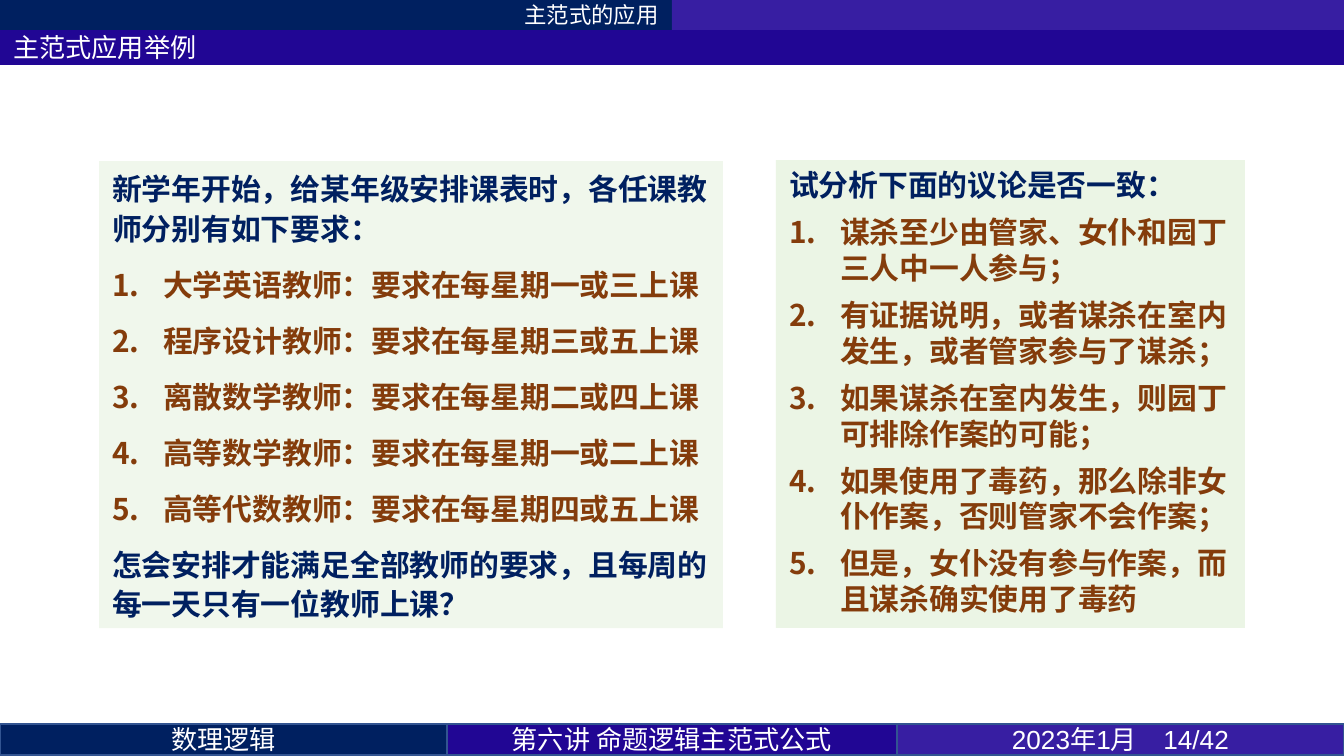
from lxml import etree
from pptx import Presentation
from pptx.dml.color import RGBColor
from pptx.enum.shapes import MSO_SHAPE
from pptx.enum.text import MSO_ANCHOR, MSO_AUTO_SIZE, PP_ALIGN
from pptx.oxml.ns import qn
from pptx.util import Pt

RECT = MSO_SHAPE.RECTANGLE
MIDDLE, TOP = MSO_ANCHOR.MIDDLE, MSO_ANCHOR.TOP
LEFT, CENTER, RIGHT = PP_ALIGN.LEFT, PP_ALIGN.CENTER, PP_ALIGN.RIGHT
GROW = MSO_AUTO_SIZE.SHAPE_TO_FIT_TEXT

NAVY = RGBColor(0x00, 0x20, 0x60)
INDIGO = RGBColor(0x21, 0x06, 0x94)
VIOLET = RGBColor(0x37, 0x1E, 0xA2)
EDGE = RGBColor(0x32, 0x54, 0x91)
GREEN = RGBColor(0xE2, 0xF0, 0xD9)
BROWN = RGBColor(0x84, 0x3C, 0x0B)
WHITE = RGBColor(0xFF, 0xFF, 0xFF)

PX = 914400 / 134.4
WIDE, HIGH = 1344, 756
HAN, LATIN, SANS = "Noto Sans CJK SC", "Calibri", "Arial"


def emu(px):
    return round(px * PX)


class Deck:
    def __init__(self):
        self.show = Presentation()
        self.show.slide_width, self.show.slide_height = emu(WIDE), emu(HIGH)
        self.slide = self.show.slides.add_slide(self.show.slide_layouts[6])

    def rect(self, box, fill, edge=None):
        shape = self.slide.shapes.add_shape(RECT, *map(emu, box))
        shape.shadow.inherit = False
        shape.fill.solid()
        shape.fill.fore_color.rgb = fill
        if edge is None:
            shape.line.fill.background()
        else:
            shape.line.color.rgb = edge
            shape.line.width = Pt(1)
        return shape

    def style(self, para, size, face, color, bold=False):
        for run in para.runs:
            font = run.font
            font.size, font.name, font.bold = Pt(size), face, bold
            font.color.rgb = color
            etree.SubElement(run._r.get_or_add_rPr(), qn("a:ea"), typeface=HAN)

    def bar(self, box, fill, text="", size=14, face=HAN, align=CENTER, edge=None):
        frame = self.rect(box, fill, edge).text_frame
        frame.vertical_anchor = MIDDLE
        frame.margin_top = frame.margin_bottom = 0
        if text:
            frame.text = text
            para = frame.paragraphs[0]
            para.alignment = align
            self.style(para, size, face, WHITE)

    def number(self, para):
        props = para._p.get_or_add_pPr()
        props.set("marL", str(emu(51)))
        props.set("indent", str(-emu(51)))
        etree.SubElement(props, qn("a:buFont"), typeface=HAN)
        etree.SubElement(props, qn("a:buAutoNum"), type="arabicPeriod")

    def panel(self, box, alpha, intro, items, outro=None, pitch=None, after=0):
        shape = self.rect(box, GREEN)
        color = shape.fill._xPr.find(".//" + qn("a:srgbClr"))
        etree.SubElement(color, qn("a:alpha"), val=str(alpha * 1000))
        frame = shape.text_frame
        frame.word_wrap, frame.auto_size = True, GROW
        frame.vertical_anchor = TOP
        lines = [intro, *items] + ([outro] if outro else [])
        frame.text = "\n".join(lines)
        for i, para in enumerate(frame.paragraphs):
            item = 0 < i <= len(items)
            if item:
                self.number(para)
            para.alignment = LEFT
            para.space_before = Pt(6 if i else 0)
            para.space_after = Pt(after)
            if pitch:
                para.line_spacing = Pt(pitch)
            face, ink = (LATIN, BROWN) if item else (HAN, NAVY)
            self.style(para, 16, face, ink, True)


def main():
    deck = Deck()
    half = WIDE // 2
    deck.bar((0, 0, half, 30), NAVY, "主范式的应用", 12, align=RIGHT)
    deck.bar((half, 0, half, 30), VIOLET)
    deck.bar((0, 30, WIDE, 35), INDIGO, "主范式应用举例", face=LATIN, align=LEFT)

    foot = [
        (0, 447, NAVY, "数理逻辑", HAN),
        (447, 450, INDIGO, "第六讲 命题逻辑主范式公式", HAN),
        (897, 447, VIOLET, "2023年1月　14/42", SANS),
    ]
    for left, width, fill, text, face in foot:
        deck.bar((left, 724, width, 31), fill, text, face=face, edge=EDGE)

    days = [("大学英语", "一或三"), ("程序设计", "三或五"), ("离散数学", "二或四"),
            ("高等数学", "一或二"), ("高等代数", "四或五")]
    deck.panel(
        (99, 161, 624, 467), 49,
        "新学年开始，给某年级安排课表时，各任课教师分别有如下要求：",
        [f"{course}教师：要求在每星期{day}上课" for course, day in days],
        "怎会安排才能满足全部教师的要求，且每周的每一天只有一位教师上课？",
        pitch=21, after=3)
    deck.panel(
        (776, 160, 469, 468), 66,
        "试分析下面的议论是否一致：",
        ["谋杀至少由管家、女仆和园丁三人中一人参与；",
         "有证据说明，或者谋杀在室内发生，或者管家参与了谋杀；",
         "如果谋杀在室内发生，则园丁可排除作案的可能；",
         "如果使用了毒药，那么除非女仆作案，否则管家不会作案；",
         "但是，女仆没有参与作案，而且谋杀确实使用了毒药"])
    deck.show.save("out.pptx")


if __name__ == "__main__":
    main()
